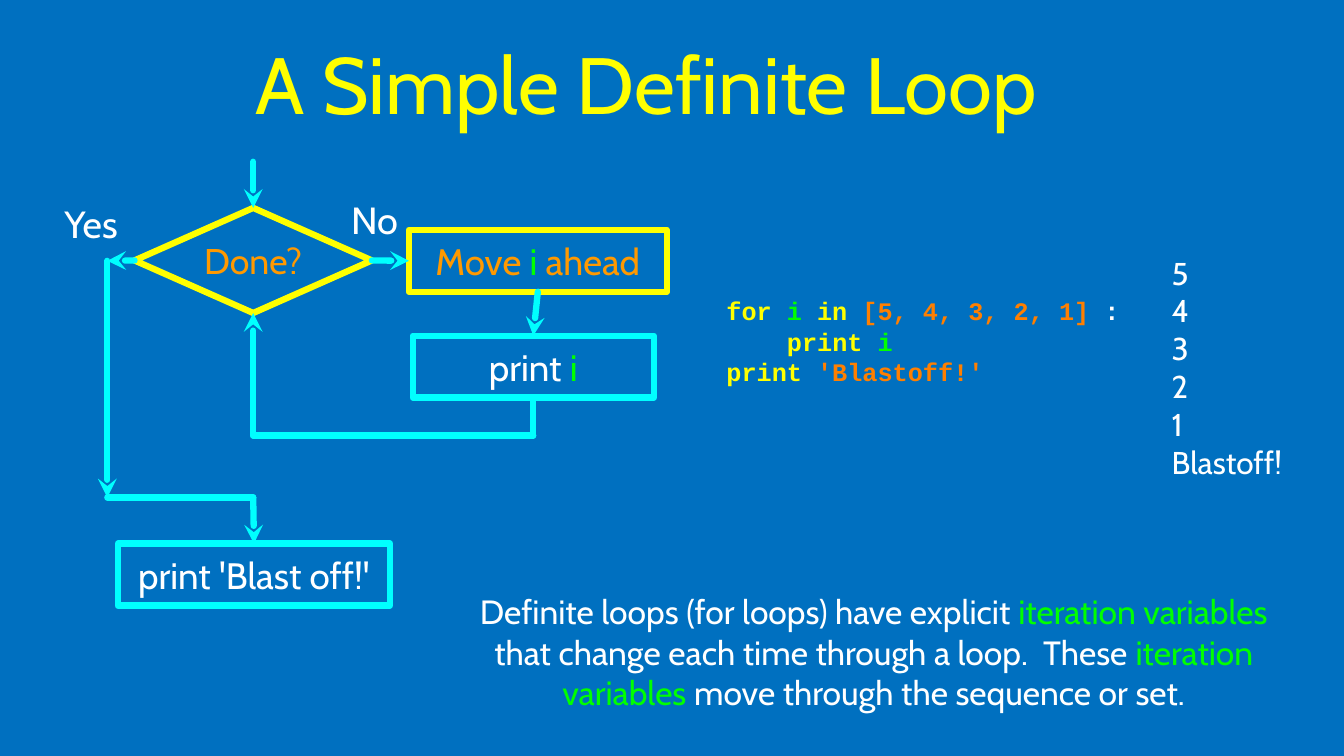
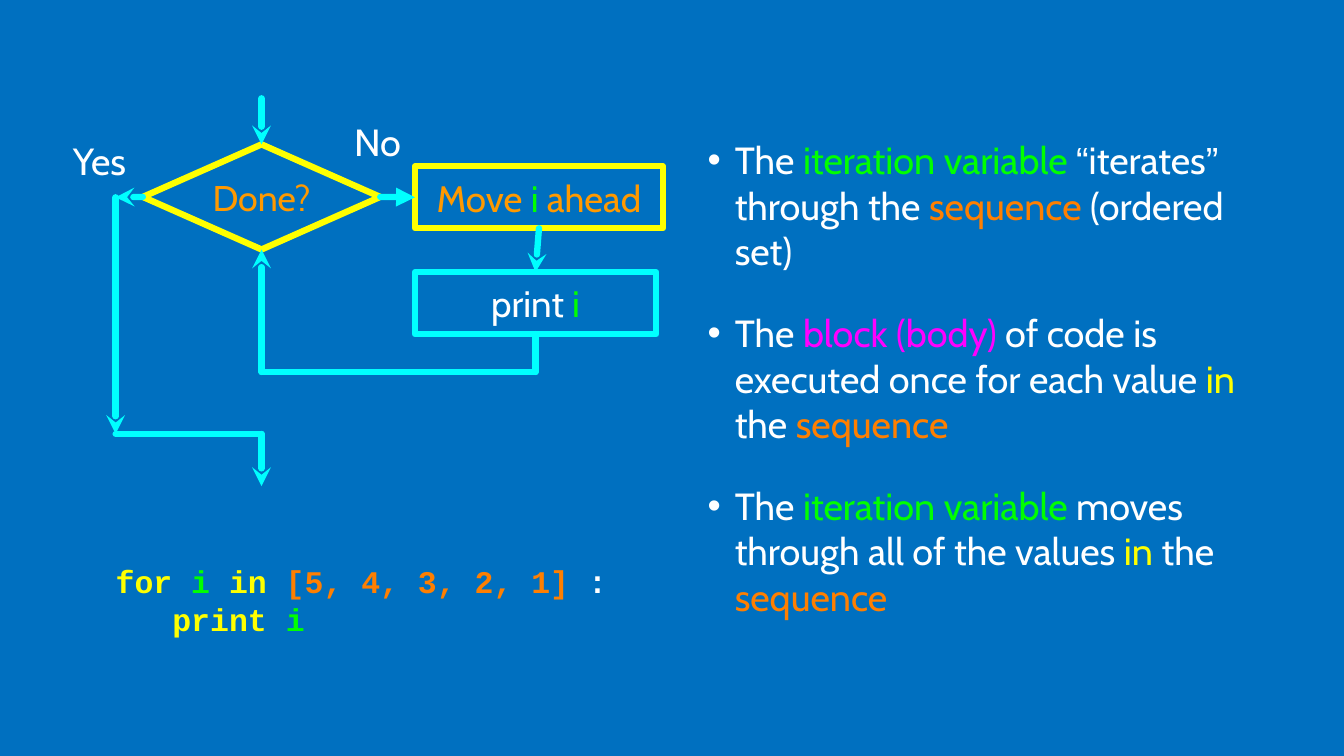
from dataclasses import dataclass

from lxml.etree import SubElement
from pptx import Presentation
from pptx.dml.color import RGBColor
from pptx.enum.shapes import MSO_CONNECTOR, MSO_SHAPE
from pptx.enum.text import MSO_ANCHOR, MSO_AUTO_SIZE, PP_ALIGN
from pptx.oxml.ns import qn
from pptx.util import Inches, Pt

# The grid has cells of one inch: 17.78 columns by 10 rows.
COLS, ROWS = 17.78, 10
TOP, LEFT, BOTTOM, RIGHT = range(4)


@dataclass(frozen=True)
class Theme:
    back: str = "0070C0"
    white: str = "FFFFFF"
    yellow: str = "FFFF00"
    cyan: str = "00FFFF"
    green: str = "00FF00"
    orange: str = "FF7F00"
    amber: str = "FF9900"
    pink: str = "FF00FF"
    font: str = "Cabin"
    code_font: str = "Courier New"
    quote_font: str = "Arial"
    title: int = 76
    label: int = 36
    node: int = 35
    decision: int = 34
    note: int = 32
    output: int = 30
    line: int = 6


T = Theme()


@dataclass(frozen=True)
class Box:
    x: float
    y: float
    w: float
    h: float

    def inside(self, x, y, w, h):
        """Box of the given size, offset from this one's corner."""
        return Box(self.x + x, self.y + y, w, h)

    def point(self, x, y):
        return Inches(self.x + x), Inches(self.y + y)

    @property
    def emu(self):
        return [Inches(v) for v in (self.x, self.y, self.w, self.h)]


LOOP_CODE = [
    [("for ", T.yellow), ("i ", T.green), ("in ", T.yellow),
     ("[5, 4, 3, 2, 1] ", T.orange), (":", T.white)],
]
PRINT_I = [("print ", T.yellow), ("i", T.green)]


def write(tf, lines, size, align=PP_ALIGN.LEFT, font=T.font, bold=False, inset=0):
    """Fill a frame with lines, each a list of (text, colour) runs."""
    tf.word_wrap = True
    tf.auto_size = MSO_AUTO_SIZE.NONE
    tf.vertical_anchor = MSO_ANCHOR.MIDDLE
    tf.margin_left = tf.margin_right = tf.margin_top = tf.margin_bottom = Inches(inset)
    for n, runs in enumerate(lines):
        p = tf.add_paragraph() if n else tf.paragraphs[0]
        p.alignment = align
        p.space_before = Pt(0)
        for text, color in runs:
            r = p.add_run()
            r.text = text
            r.font.name = T.quote_font if text in "“”" else font
            r.font.size = Pt(size)
            r.font.bold = bold
            r.font.color.rgb = RGBColor.from_string(color)


def place(sp, box):
    sp.left, sp.top, sp.width, sp.height = box.emu


def text_box(slide, box, lines, size, **style):
    write(slide.shapes.add_textbox(*box.emu).text_frame, lines, size, **style)


def code(slide, box, lines, size):
    text_box(slide, box, lines, size, font=T.code_font, bold=True)


def node(slide, box, runs, color, kind=MSO_SHAPE.RECTANGLE, size=T.node):
    sp = slide.shapes.add_shape(kind, *box.emu)
    sp.shadow.inherit = False
    sp.fill.background()
    sp.line.color.rgb = RGBColor.from_string(color)
    sp.line.width = Pt(T.line)
    write(sp.text_frame, [runs], size, PP_ALIGN.CENTER)
    return sp


def connect(slide, start, end, head=None):
    """Line between two ends, each a point or a (shape, side) pair."""
    joined = [not isinstance(e[0], int) for e in (start, end)]
    points = [(0, 0) if j else e for j, e in zip(joined, (start, end))]
    c = slide.shapes.add_connector(MSO_CONNECTOR.STRAIGHT, *points[0], *points[1])
    if joined[0]:
        c.begin_connect(*start)
    if joined[1]:
        c.end_connect(*end)
    c.line.color.rgb = RGBColor.from_string(T.cyan)
    c.line.width = Pt(T.line)
    ln = c.line._get_or_add_ln()
    ln.set("cap", "rnd")
    if head:
        SubElement(ln, qn("a:tailEnd"), type=head)
    SubElement(c._element.spPr, qn("a:effectLst"))


def flowchart(slide, area, move, print_x, no, no_head="stealth", last=None):
    """Loop diagram; move is (left, width), no a label offset, last an end node."""
    spine, turn, floor = 1.93, 3.62, 4.44
    done = node(slide, area.inside(0.36, 0.61, 3.14, 1.39), [("Done?", T.amber)],
                T.yellow, MSO_SHAPE.DIAMOND, T.decision)
    step = node(slide, area.inside(move[0], 0.9, move[1], 0.82),
                [("Move ", T.amber), ("i", T.green), (" ahead", T.amber)], T.yellow)
    body = node(slide, area.inside(print_x, 2.3, 3.19, 0.82),
                [("print ", T.white), ("i", T.green)], T.cyan)
    exit_end = area.point(spine, 5.13)
    if last:
        exit_end = (node(slide, area.inside(0.14, 5.05, 3.6, 0.82),
                         [(last, T.white)], T.cyan), TOP)
    for label, offset in (("Yes", (-0.61, 0.48)), ("No", no)):
        text_box(slide, area.inside(*offset, 0.79, 0.68), [[(label, T.white)]],
                 T.label, align=PP_ALIGN.CENTER)

    corner = area.point(print_x + 3.19 / 2, turn)
    branch = area.point(0, 1.31)
    for start, end, head in (
        (area.point(spine, 0), (done, TOP), "stealth"),
        ((done, RIGHT), (step, LEFT), no_head),
        ((step, BOTTOM), (body, TOP), "stealth"),
        ((body, BOTTOM), corner, None),
        (corner, area.point(spine, turn), None),
        (area.point(spine, turn), (done, BOTTOM), "stealth"),
        ((done, LEFT), branch, "stealth"),
        (branch, area.point(0, floor), "stealth"),
        (area.point(0, floor), area.point(spine, floor), None),
        (area.point(spine, floor), exit_end, "stealth"),
    ):
        connect(slide, start, end, head)


def bullets(sp, box, lines):
    place(sp, box)
    write(sp.text_frame, lines, T.label, inset=0.04)
    for n, p in enumerate(sp.text_frame.paragraphs):
        p.space_before = Pt(35 if n else 0)
        pPr = p._p.get_or_add_pPr()
        pPr.set("marL", str(Inches(0.54)))
        pPr.set("indent", str(Inches(-0.36)))
        SubElement(SubElement(pPr, qn("a:buClr")), qn("a:srgbClr"), val=T.white)
        SubElement(pPr, qn("a:buFont"), typeface="Arial")
        SubElement(pPr, qn("a:buChar"), char="•")


def loop_slide(prs):
    slide = prs.slides.add_slide(prs.slide_layouts[5])
    title = slide.shapes.title
    place(title, Box(3.31, 0, 10.47, 2.19))
    write(title.text_frame, [[("A Simple Definite Loop", T.yellow)]], T.title,
          PP_ALIGN.CENTER, inset=0.04)
    flowchart(slide, Box(1.42, 2.14, 7.4, 5.87), move=(3.99, 3.41), print_x=4.04,
              no=(3.14, 0.42), last="print 'Blast off!'")
    code(slide, Box(9.61, 3.6, 5.58, 1.82), LOOP_CODE + [
        [("    ", T.white)] + PRINT_I,
        [("print ", T.yellow), ("'Blastoff!'", T.orange)],
    ], 24)
    text_box(slide, Box(15.5, 3.09, 1.82, 3.53),
             [[(s, T.white)] for s in ("5", "4", "3", "2", "1", "Blastoff!")], T.output)
    text_box(slide, Box(6.02, 7.71, 11.08, 1.82), [[
        ("Definite loops (for loops) have explicit ", T.white),
        ("iteration variables ", T.green),
        ("that change each time through a loop.  These ", T.white),
        ("iteration variables", T.green),
        (" move through the sequence or set.", T.white),
    ]], T.note, align=PP_ALIGN.CENTER)


def explanation_slide(prs):
    slide = prs.slides.add_slide(prs.slide_layouts[1])
    title = slide.shapes.title._element
    title.getparent().remove(title)
    flowchart(slide, Box(1.53, 1.3, 7.24, 5.13), move=(3.96, 3.28), print_x=3.96,
              no=(3.07, 0.23), no_head="triangle")
    bullets(slide.placeholders[1], Box(9.14, 1.88, 7.83, 6.24), [
        [("The ", T.white), ("iteration variable ", T.green), ("“", T.white),
         ("iterates", T.white), ("”", T.white), (" through the ", T.white),
         ("sequence ", T.orange), ("(ordered set)", T.white)],
        [("The ", T.white), ("block (body)", T.pink),
         (" of code is executed once for each value ", T.white),
         ("in", T.yellow), (" the ", T.white), ("sequence", T.orange)],
        [("The ", T.white), ("iteration variable ", T.green),
         ("moves through all of the values ", T.white),
         ("in", T.yellow), (" the ", T.white), ("sequence", T.orange)],
    ])
    code(slide, Box(1.53, 7.33, 7.15, 1.21),
         LOOP_CODE + [[("   ", T.white)] + PRINT_I], 30)


def main():
    prs = Presentation()
    prs.slide_width, prs.slide_height = Inches(COLS), Inches(ROWS)
    fill = prs.slide_master.background.fill
    fill.solid()
    fill.fore_color.rgb = RGBColor.from_string(T.back)
    loop_slide(prs)
    explanation_slide(prs)
    prs.save("out.pptx")


if __name__ == "__main__":
    main()
